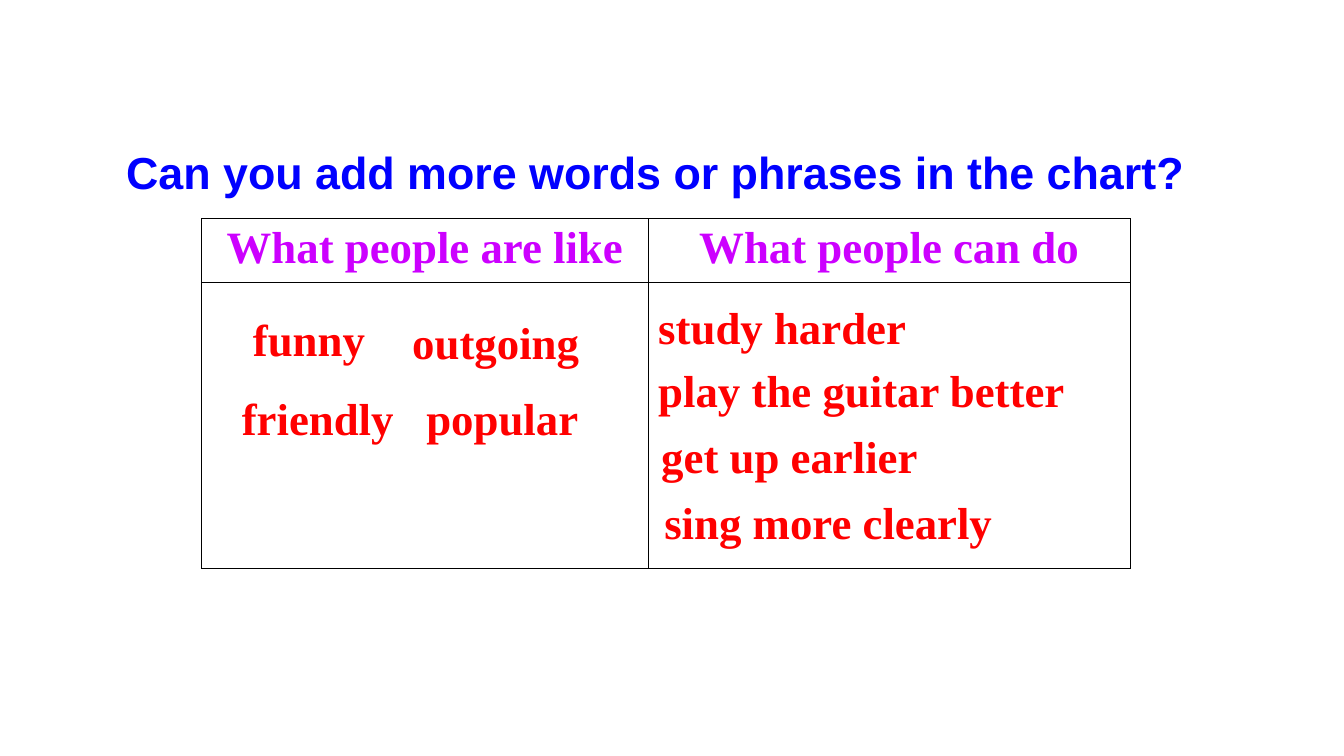
from lxml.etree import SubElement
from pptx import Presentation
from pptx.dml.color import RGBColor
from pptx.enum.text import MSO_ANCHOR, MSO_AUTO_SIZE, PP_ALIGN
from pptx.oxml.ns import qn
from pptx.util import Pt

# Content, lengths in px (100 px to the inch)
EMU_PER_PX = 9144
SLIDE_SIZE = (1333, 750)
QUESTION = "Can you add more words or phrases in the chart?"
QUESTION_BOX = (115, 123, 1087, 80)
HEADINGS = ["What people are like", "What people can do"]
CHART_LEFT, CHART_TOP = 200, 217
COLUMN_WIDTHS = [443, 478]
ROW_HEIGHTS = [63, 284]
ANSWER_HEIGHT = 63
ANSWERS = [  # text, left, top, width
    ("funny", 241, 304, 266),
    ("outgoing", 399, 307, 205),
    ("friendly", 230, 383, 289),
    ("popular", 413, 383, 207),
    ("study harder", 643, 292, 402),
    ("play the guitar better", 643, 355, 465),
    ("get up earlier", 646, 420, 449),
    ("sing more clearly", 649, 486, 465),
]
BLUE, PURPLE, RED, WHITE, BLACK = "0000FF", "CC00FF", "FF0000", "FFFFFF", "000000"


def px(length):
    return length * EMU_PER_PX


def color(hex_value):
    return RGBColor.from_string(hex_value)


def write(frame, text, ink, font="Times New Roman", size=32,
          align=PP_ALIGN.LEFT, line_spacing=1.0):
    frame.word_wrap = True
    paragraph = frame.paragraphs[0]
    paragraph.alignment = align
    paragraph.line_spacing = line_spacing
    run = paragraph.add_run()
    run.text = text
    run.font.name = font
    run.font.size = Pt(size)
    run.font.bold = True
    run.font.color.rgb = color(ink)


def style_cell(cell, fill, border):
    properties = cell._tc.get_or_add_tcPr()
    for side in ("a:lnL", "a:lnR", "a:lnT", "a:lnB"):
        line = SubElement(properties, qn(side), w=str(Pt(1)))
        SubElement(SubElement(line, qn("a:solidFill")), qn("a:srgbClr"), val=border)
    cell.fill.solid()
    cell.fill.fore_color.rgb = color(fill)


def main():
    deck = Presentation()
    deck.slide_width, deck.slide_height = map(px, SLIDE_SIZE)
    slide = deck.slides.add_slide(deck.slide_layouts[5])

    # Question
    question = slide.shapes.title
    question.left, question.top, question.width, question.height = map(px, QUESTION_BOX)
    question.text_frame.auto_size = MSO_AUTO_SIZE.NONE
    question.text_frame.vertical_anchor = MSO_ANCHOR.TOP
    write(question.text_frame, QUESTION, BLUE, font="Arial", line_spacing=1.3)

    # Two-column chart
    chart = slide.shapes.add_table(
        len(ROW_HEIGHTS), len(COLUMN_WIDTHS), px(CHART_LEFT), px(CHART_TOP),
        px(sum(COLUMN_WIDTHS)), px(sum(ROW_HEIGHTS))).table
    for column, width in zip(chart.columns, COLUMN_WIDTHS):
        column.width = px(width)
    for row, height in zip(chart.rows, ROW_HEIGHTS):
        row.height = px(height)
    for cell in chart.iter_cells():
        style_cell(cell, WHITE, BLACK)
    for cell, heading in zip(chart.rows[0].cells, HEADINGS):
        write(cell.text_frame, heading, PURPLE, align=PP_ALIGN.CENTER)

    # Answers
    for text, left, top, width in ANSWERS:
        answer = slide.shapes.add_textbox(px(left), px(top), px(width), px(ANSWER_HEIGHT))
        write(answer.text_frame, text, RED)

    deck.save("out.pptx")


if __name__ == "__main__":
    main()
